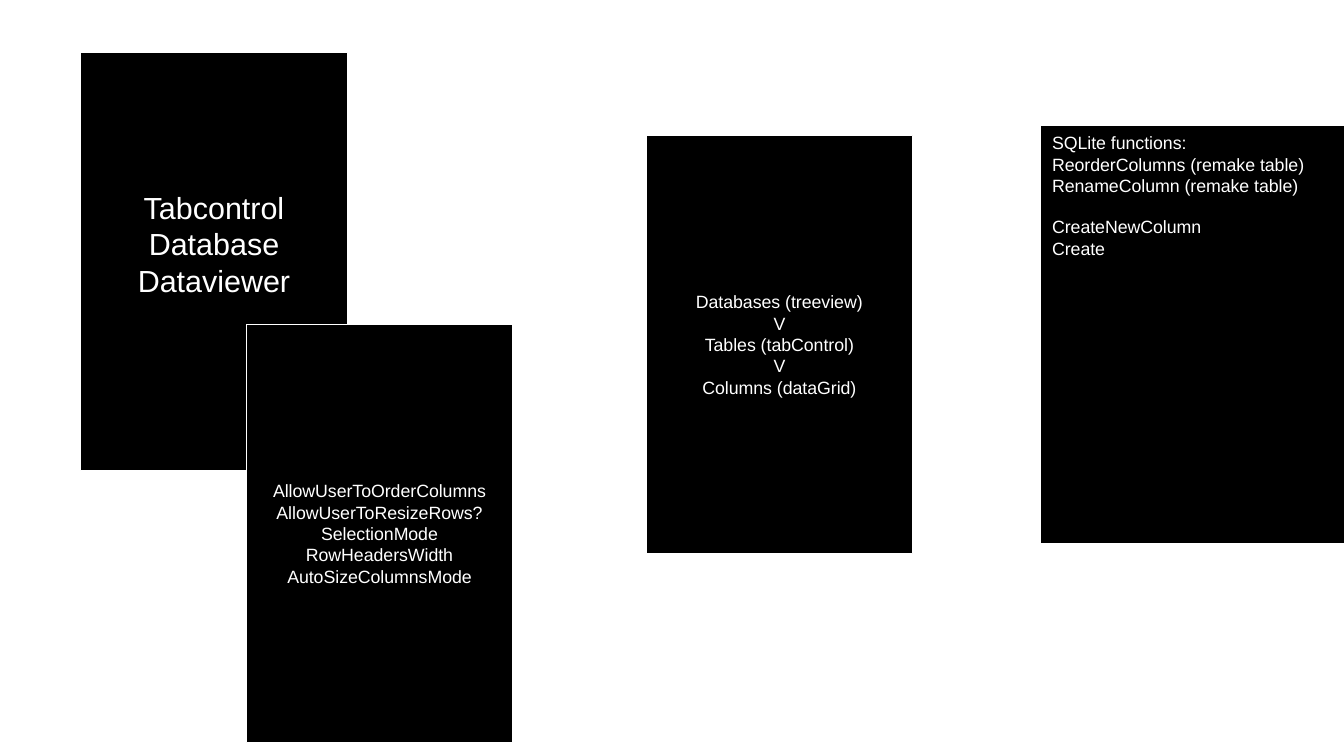
from dataclasses import dataclass

from pptx import Presentation
from pptx.dml.color import RGBColor
from pptx.enum.shapes import MSO_SHAPE
from pptx.enum.text import MSO_ANCHOR, PP_ALIGN
from pptx.slide import Slide
from pptx.util import Cm, Pt

RECTANGLE = MSO_SHAPE.RECTANGLE
TOP, MIDDLE = MSO_ANCHOR.TOP, MSO_ANCHOR.MIDDLE
LEFT, CENTER = PP_ALIGN.LEFT, PP_ALIGN.CENTER


@dataclass(frozen=True)
class Theme:
    panel: RGBColor = RGBColor(0x00, 0x00, 0x00)
    ink: RGBColor = RGBColor(0xFF, 0xFF, 0xFF)
    font: str = "Arial"
    title_size: float = 18
    body_size: float = 10.5
    group_gap: float = 12


THEME = Theme()

# Panel measures in centimetres
PANEL_WIDTH = 5.56
PANEL_HEIGHT = 8.71
SIDE_INSET = 0.25
EDGE_INSET = 0.13


@dataclass(frozen=True)
class Panel:
    left: float
    top: float
    groups: tuple[tuple[str, ...], ...]
    width: float = PANEL_WIDTH
    size: float = THEME.body_size
    anchor: MSO_ANCHOR = MIDDLE
    align: PP_ALIGN = CENTER
    bottom_inset: float = EDGE_INSET


# Panels from back to front
PANELS = (
    Panel(1.68, 1.09, (("Tabcontrol", "Database", "Dataviewer"),),
          size=THEME.title_size, bottom_inset=0.86),
    Panel(13.46, 2.82, (("Databases (treeview)", "V", "Tables (tabControl)", "V",
                         "Columns (dataGrid)"),)),
    Panel(5.13, 6.76, (("AllowUserToOrderColumns", "AllowUserToResizeRows?",
                        "SelectionMode", "RowHeadersWidth", "AutoSizeColumnsMode"),)),
    Panel(21.67, 2.62,
          (("SQLite functions:", "ReorderColumns (remake table)",
            "RenameColumn (remake table)"),
           ("CreateNewColumn", "Create")),
          width=9.75, anchor=TOP, align=LEFT),
)


def draw_panel(slide: Slide, panel: Panel) -> None:
    box = slide.shapes.add_shape(RECTANGLE, Cm(panel.left), Cm(panel.top),
                                 Cm(panel.width), Cm(PANEL_HEIGHT))
    box.shadow.inherit = False
    box.fill.solid()
    box.fill.fore_color.rgb = THEME.panel
    box.line.color.rgb = THEME.ink
    box.line.width = Pt(0)

    # Text area
    frame = box.text_frame
    frame.word_wrap = True
    frame.vertical_anchor = panel.anchor
    frame.margin_left = frame.margin_right = Cm(SIDE_INSET)
    frame.margin_top = Cm(EDGE_INSET)
    frame.margin_bottom = Cm(panel.bottom_inset)
    frame.text = "\n".join(line for group in panel.groups for line in group)
    for paragraph in frame.paragraphs:
        paragraph.alignment = panel.align
        for run in paragraph.runs:
            run.font.name = THEME.font
            run.font.size = Pt(panel.size)
            run.font.color.rgb = THEME.ink

    # Gap between groups of lines
    group_end = 0
    for group in panel.groups[:-1]:
        group_end += len(group)
        frame.paragraphs[group_end - 1].space_after = Pt(THEME.group_gap)


def main() -> None:
    deck = Presentation()
    deck.slide_width, deck.slide_height = Cm(28), Cm(15.75)
    slide = deck.slides.add_slide(deck.slide_layouts[6])
    for panel in PANELS:
        draw_panel(slide, panel)
    deck.save("out.pptx")


if __name__ == "__main__":
    main()
